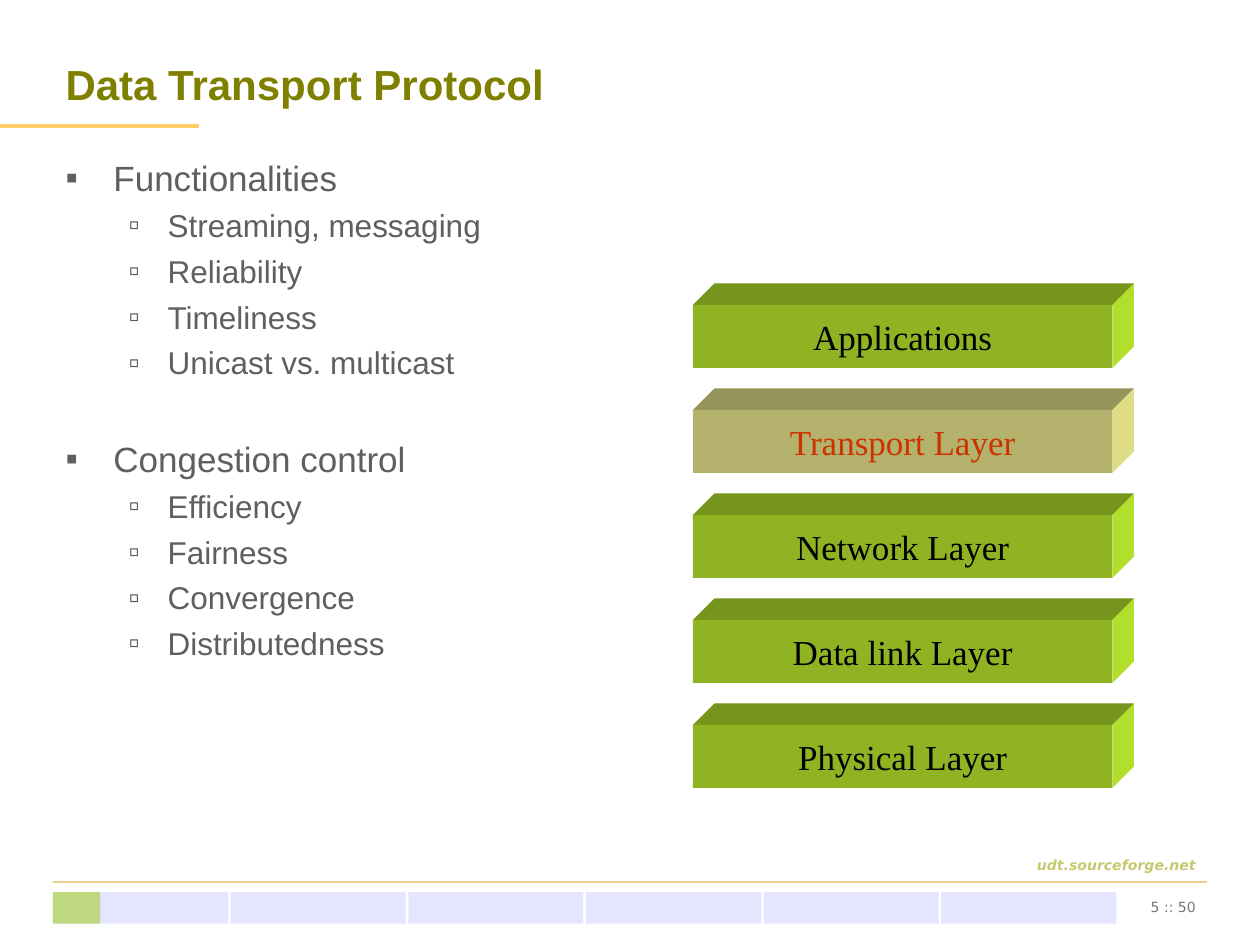
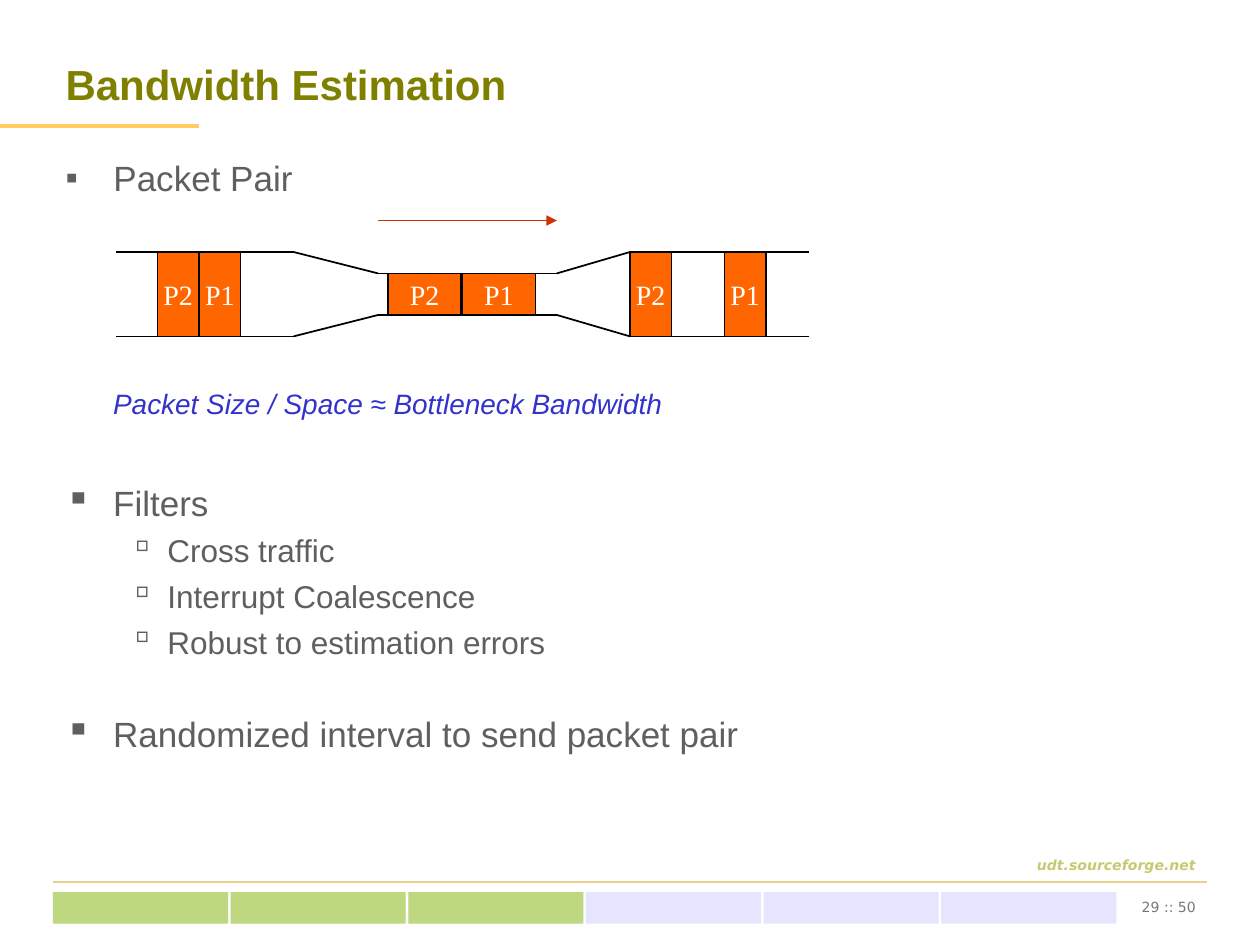
from dataclasses import dataclass
from itertools import pairwise

from lxml.etree import SubElement
from pptx import Presentation
from pptx.dml.color import RGBColor
from pptx.enum.shapes import MSO_CONNECTOR, MSO_SHAPE
from pptx.enum.text import MSO_ANCHOR, MSO_AUTO_SIZE, PP_ALIGN
from pptx.oxml.ns import qn
from pptx.util import Inches, Pt


@dataclass(frozen=True)
class Theme:
    """Colours, fonts and type sizes of the deck."""
    title: str = "808000"
    text: str = "5F5F5F"
    formula: str = "3333CC"
    accent: str = "FFCC66"
    rule: str = "EBD08D"
    site: str = "C7C971"
    page: str = "777777"
    bar: str = "CCCCFF"
    done: str = "99CC00"
    packet: str = "FF6600"
    red: str = "CC3300"
    black: str = "000000"
    white: str = "FFFFFF"
    green_block: tuple = ("8FB323", "76951D", "B1DF2C")
    sand_block: tuple = ("B3B16B", "95945A", "DEDD86")
    sans: str = "Arial"
    serif: str = "Times New Roman"
    small: str = "DejaVu Sans"
    title_size: int = 24
    level_sizes: tuple = (20, 18)
    label_size: int = 16
    small_size: int = 8


T = Theme()
LEFT, WIDTH = 0.42, 9.17
LEVELS = ((0.38, -0.38, "▪"), (0.81, -0.31, "▫"))


def rgb(color):
    """Return a colour object for a hex string."""
    return RGBColor.from_string(color)


def style(p, font, size, color, bold=False, italic=False):
    """Format every run of a paragraph."""
    for r in p.runs:
        r.font.name = font
        r.font.size = Pt(size)
        r.font.color.rgb = rgb(color)
        r.font.bold = bold
        r.font.italic = italic


def place(sp, left, top, width, height):
    """Move and size a shape in inches."""
    sp.left, sp.top = Inches(left), Inches(top)
    sp.width, sp.height = Inches(width), Inches(height)


def add_line(s, start, end, color, weight=1, arrow=False):
    """Draw a straight line, with an arrowhead if asked."""
    ends = [Inches(v) for v in (*start, *end)]
    line = s.shapes.add_connector(MSO_CONNECTOR.STRAIGHT, *ends)
    line.line.color.rgb = rgb(color)
    line.line.width = Pt(weight)
    if arrow:
        SubElement(line.line._get_or_add_ln(), qn("a:tailEnd"), type="triangle")
    SubElement(line._element.spPr, qn("a:effectLst"))


def paint(sp, color, border=None, alpha=None):
    """Give a shape a flat fill and an optional border or opacity."""
    sp.shadow.inherit = False
    sp.fill.solid()
    sp.fill.fore_color.rgb = rgb(color)
    if alpha:
        fill = sp._element.spPr.find(".//" + qn("a:srgbClr"))
        SubElement(fill, qn("a:alpha"), val=str(alpha * 1000))
    if border:
        sp.line.color.rgb = rgb(border)
        sp.line.width = Pt(0.75)
    else:
        sp.line.fill.background()


def add_rect(s, box, color, border=None, alpha=None):
    """Draw a flat rectangle."""
    sp = s.shapes.add_shape(MSO_SHAPE.RECTANGLE, *map(Inches, box))
    paint(sp, color, border, alpha)
    return sp


def add_face(s, points, color):
    """Draw one slanted face of a block."""
    start, *rest = [(Inches(x), Inches(y)) for x, y in points]
    builder = s.shapes.build_freeform(*start)
    builder.add_line_segments(rest)
    paint(builder.convert_to_shape(), color)


def add_label(sp, text, size, color):
    """Centre a one-line label in a shape."""
    tf = sp.text_frame
    tf.text = text
    tf.word_wrap = False
    tf.vertical_anchor = MSO_ANCHOR.MIDDLE
    p = tf.paragraphs[0]
    p.alignment = PP_ALIGN.CENTER
    style(p, T.serif, size, color)


def add_text(s, box, text, font, size, color, align, **look):
    """Add a text box with one paragraph."""
    tf = s.shapes.add_textbox(*map(Inches, box)).text_frame
    tf.word_wrap = True
    tf.text = text
    p = tf.paragraphs[0]
    p.alignment = align
    style(p, font, size, color, **look)
    return tf


def set_indent(p, margin, indent):
    """Set the left margin and first-line indent of a paragraph."""
    pPr = p._p.get_or_add_pPr()
    pPr.set("marL", str(Inches(margin)))
    pPr.set("indent", str(Inches(indent)))
    return pPr


def fill_list(tf, items, group_gap):
    """Write (level, text) items as a bulleted list with gaps between groups."""
    tf.word_wrap = True
    tf.auto_size = MSO_AUTO_SIZE.NONE
    tf.margin_top = Inches(0.07)
    for i, (level, text) in enumerate(items):
        p = tf.paragraphs[0] if i == 0 else tf.add_paragraph()
        p.text = text
        p.level = level
        margin, indent, bullet = LEVELS[level]
        SubElement(set_indent(p, margin, indent), qn("a:buChar"), char=bullet)
        p.space_before = Pt(0 if i == 0 else 4.5 if level else group_gap)
        style(p, T.sans, T.level_sizes[level], T.text)


def add_frame(s, page, done):
    """Draw the rules, site name, progress bar and page number."""
    add_line(s, (0, 1), (1.58, 1), T.accent, 2.25)
    add_line(s, (LEFT, 7), (9.58, 7), T.rule)
    add_text(s, (LEFT, 6.75, WIDTH, 0.25), "udt.sourceforge.net", T.small,
             T.small_size, T.site, PP_ALIGN.RIGHT, bold=True, italic=True)
    for i in range(6):
        left = LEFT + 1.41 * i
        add_rect(s, (left, 7.08, 1.39, 0.25), T.bar, alpha=50)
        part = min(1, done - i)
        if part > 0:
            add_rect(s, (left, 7.08, 1.39 * part, 0.25), T.done, alpha=50)
    add_text(s, (8.85, 7.08, 0.74, 0.25), f"{page} :: 50", T.small,
             T.small_size, T.page, PP_ALIGN.RIGHT)


def add_slide(prs, title, page, done, body_box, items, group_gap=4.5):
    """Add a slide with its frame, title and list."""
    s = prs.slides.add_slide(prs.slide_layouts[1])
    add_frame(s, page, done)
    place(s.shapes.title, LEFT, 0.25, WIDTH, 0.83)
    tf = s.shapes.title.text_frame
    tf.text = title
    tf.vertical_anchor = MSO_ANCHOR.MIDDLE
    tf.auto_size = MSO_AUTO_SIZE.NONE
    tf.paragraphs[0].alignment = PP_ALIGN.LEFT
    style(tf.paragraphs[0], T.sans, T.title_size, T.title, bold=True)
    body = s.placeholders[1]
    place(body, *body_box)
    fill_list(body.text_frame, items, group_gap)
    return s


def add_block(s, top, text, colors, text_color):
    """Draw one layer as a block with a top and a right face."""
    left, width, height, depth = 5.5, 3.33, 0.5, 0.17
    right, bottom = left + width, top + height
    front, lid, side = colors
    add_face(s, [(left, top), (left + depth, top - depth),
                 (right + depth, top - depth), (right, top)], lid)
    add_face(s, [(right, top), (right + depth, top - depth),
                 (right + depth, bottom - depth), (right, bottom)], side)
    sp = add_rect(s, (left, top, width, height), front)
    add_label(sp, text, T.level_sizes[0], text_color)


def add_pipe(s):
    """Draw the narrowing link, its packets and the flow arrow."""
    middle = 2.335
    outline = [(0.92, 0.335), (2.33, 0.335), (3, 0.165),
               (4.42, 0.165), (5, 0.335), (6.42, 0.335)]
    for sign in (-1, 1):
        edge = [(x, middle + sign * half) for x, half in outline]
        for start, end in pairwise(edge):
            add_line(s, start, end, T.black)
    packets = [("P2", 1.25, 0.33, 0.67), ("P1", 1.58, 0.33, 0.67),
               ("P2", 3.08, 0.58, 0.33), ("P1", 3.67, 0.58, 0.33),
               ("P2", 5, 0.33, 0.67), ("P1", 5.75, 0.33, 0.67)]
    for name, left, width, height in packets:
        box = (left, middle - height / 2, width, height)
        sp = add_rect(s, box, T.packet, T.black)
        add_label(sp, name, T.label_size, T.white)
    add_line(s, (3, 1.75), (4.42, 1.75), T.red, arrow=True)


def build_protocol(prs):
    """Build the slide on the transport protocol."""
    items = [(0, "Functionalities"), (1, "Streaming, messaging"),
             (1, "Reliability"), (1, "Timeliness"), (1, "Unicast vs. multicast"),
             (0, "Congestion control"), (1, "Efficiency"), (1, "Fairness"),
             (1, "Convergence"), (1, "Distributedness")]
    s = add_slide(prs, "Data Transport Protocol", 5, 0.27,
                  (LEFT, 1.17, 4.58, 5.5), items, 32)
    layers = ["Applications", "Transport Layer", "Network Layer",
              "Data link Layer", "Physical Layer"]
    for i, layer in enumerate(layers):
        active = layer == "Transport Layer"
        add_block(s, 2.42 + i * 5 / 6, layer,
                  T.sand_block if active else T.green_block,
                  T.red if active else T.black)


def build_bandwidth(prs):
    """Build the slide on bandwidth estimation."""
    s = add_slide(prs, "Bandwidth Estimation", 29, 3,
                  (LEFT, 1.17, WIDTH, 0.5), [(0, "Packet Pair")])
    add_pipe(s)
    tf = add_text(s, (LEFT, 3, WIDTH, 0.5),
                  "Packet Size / Space ≈ Bottleneck Bandwidth",
                  T.sans, T.label_size, T.formula, PP_ALIGN.LEFT, italic=True)
    tf.margin_top = Inches(0.07)
    set_indent(tf.paragraphs[0], 0.38, 0)
    box = s.shapes.add_textbox(*map(Inches, (LEFT, 3.75, WIDTH, 2.83)))
    items = [(0, "Filters"), (1, "Cross traffic"), (1, "Interrupt Coalescence"),
             (1, "Robust to estimation errors"),
             (0, "Randomized interval to send packet pair")]
    fill_list(box.text_frame, items, 29.5)


def main():
    """Build and save the deck."""
    prs = Presentation()
    prs.slide_width, prs.slide_height = Inches(10), Inches(7.5)
    build_protocol(prs)
    build_bandwidth(prs)
    prs.save("out.pptx")


if __name__ == "__main__":
    main()
